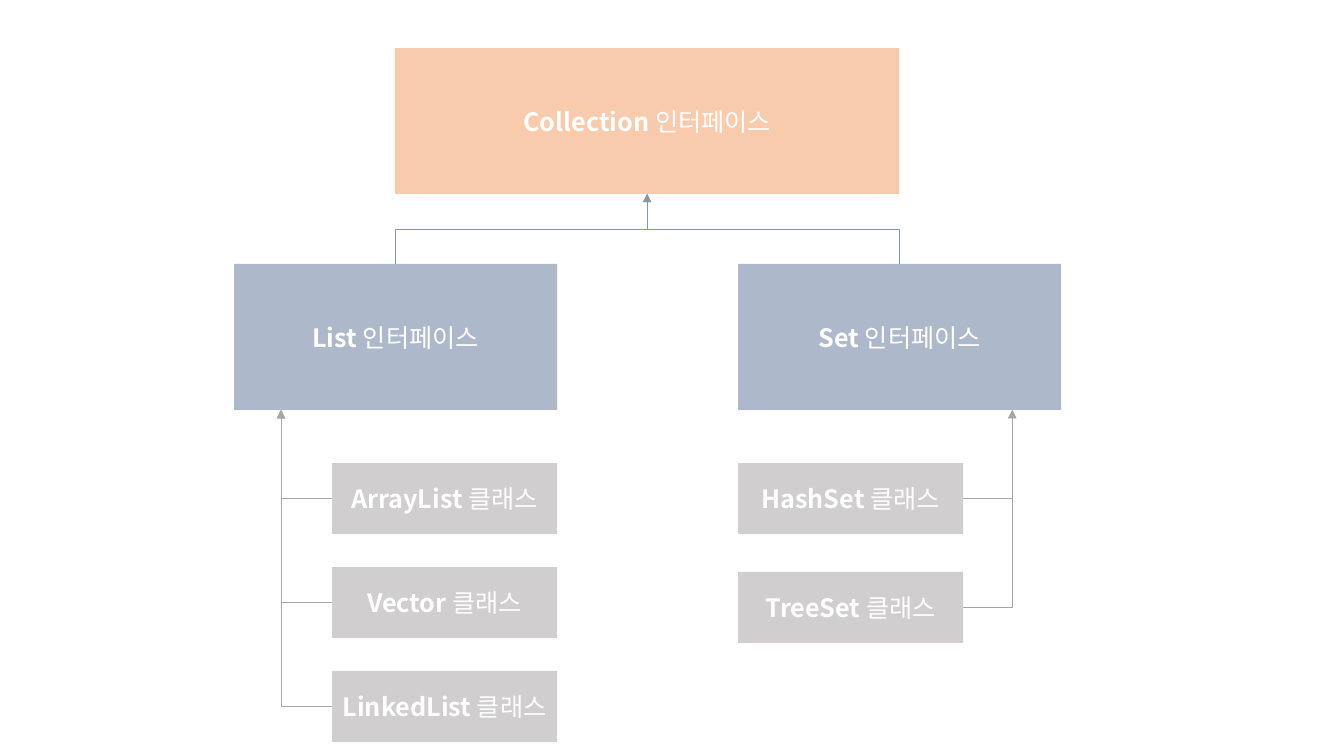
"""Build the Collection interface hierarchy slide."""
from pptx import Presentation
from pptx import util as u
from pptx.dml import color
from pptx.enum import shapes, text
from pptx.oxml import ns
from lxml import etree

EMU_PER_PIXEL = 914400 / 100.8
FONT = "Noto Sans CJK KR"
COLOURS = {
    "collection": "F8CBAD",
    "interface": "ADB9CA",
    "class": "D0CECE",
    "text": "FFFFFF",
    "interface line": "8497B0",
    "class line": "A6A6A6",
}
COLLECTION_TOP, INTERFACE_TOP, BOX_HEIGHT = 48, 264, 146
CLASS_TOP, CLASS_WIDTH, CLASS_HEIGHT = 463, 225, 71


def px(pixels):
    """Turn pixels into EMU."""
    return u.Emu(round(pixels * EMU_PER_PIXEL))


def rgb(name):
    """Return the named colour."""
    return color.RGBColor.from_string(COLOURS[name])


def add_run(paragraph, words, bold):
    """Add one formatted run, with the font for Latin and Korean."""
    run = paragraph.add_run()
    run.text = words
    run.font.size = u.Pt(18)
    run.font.bold = bold
    run.font.name = FONT
    run.font.color.rgb = rgb("text")
    east_asian = etree.SubElement(run.font._element, ns.qn("a:ea"))
    east_asian.set("typeface", FONT)


def add_box(slide, left, top, width, height, colour, name, kind):
    """Add a filled box with a bold name and its kind."""
    shape = slide.shapes.add_shape(
        shapes.MSO_SHAPE.RECTANGLE, px(left), px(top), px(width), px(height))
    shape.shadow.inherit = False
    shape.fill.solid()
    shape.fill.fore_color.rgb = rgb(colour)
    shape.line.fill.background()
    frame = shape.text_frame
    frame.word_wrap = True
    frame.vertical_anchor = text.MSO_ANCHOR.MIDDLE
    paragraph = frame.paragraphs[0]
    paragraph.alignment = text.PP_ALIGN.CENTER
    add_run(paragraph, f"{name} ", True)
    add_run(paragraph, kind, False)


def add_elbow(slide, start, end, preset, colour, rotation, flips):
    """Add a bent arrow whose frame is turned and flipped between two points."""
    width, height = abs(end[0] - start[0]), abs(end[1] - start[1])
    if rotation in (90, 270):
        width, height = height, width
    left = (start[0] + end[0] - width) / 2
    top = (start[1] + end[1] - height) / 2
    connector = slide.shapes.add_connector(
        shapes.MSO_CONNECTOR.ELBOW,
        px(left), px(top), px(left + width), px(top + height))
    connector.line.width = u.Pt(0.5)
    connector.line.color.rgb = rgb(colour)
    properties = connector._element.spPr
    properties.find(ns.qn("a:prstGeom")).set("prst", preset)
    transform = properties.find(ns.qn("a:xfrm"))
    transform.set("rot", str(rotation * 60000))
    for flip in flips:
        transform.set(flip, "1")
    outline = properties.find(ns.qn("a:ln"))
    etree.SubElement(outline, ns.qn("a:tailEnd")).set("type", "triangle")
    etree.SubElement(properties, ns.qn("a:effectLst"))


def add_classes(slide, names, left, pitch, start_x, trunk_x, rotation, flips):
    """Add a column of classes, each with an arrow up to its interface."""
    for index, name in enumerate(names):
        top = CLASS_TOP + index * pitch
        add_box(slide, left, top, CLASS_WIDTH, CLASS_HEIGHT, "class", name, "클래스")
        add_elbow(slide, (start_x, top + CLASS_HEIGHT / 2),
                  (trunk_x, INTERFACE_TOP + BOX_HEIGHT),
                  "bentConnector2", "class line", rotation, flips)


def main():
    """Create and save the presentation."""
    presentation = Presentation()
    presentation.slide_width = u.Inches(13.33)
    presentation.slide_height = u.Inches(7.5)
    slide = presentation.slides.add_slide(presentation.slide_layouts[6])

    add_box(slide, 395, COLLECTION_TOP, 504, BOX_HEIGHT,
            "collection", "Collection", "인터페이스")
    for name, left, centre, rotation, flips in (
            ("List", 234, 395, 90, ("flipH", "flipV")),
            ("Set", 738, 899, 270, ("flipV",))):
        add_box(slide, left, INTERFACE_TOP, 323, BOX_HEIGHT,
                "interface", name, "인터페이스")
        add_elbow(slide, (centre, INTERFACE_TOP), (647, COLLECTION_TOP + BOX_HEIGHT),
                  "bentConnector3", "interface line", rotation, flips)

    add_classes(slide, ("ArrayList", "Vector", "LinkedList"),
                332, 104, 332, 281, 180, ())
    add_classes(slide, ("HashSet", "TreeSet"),
                738, 109, 738 + CLASS_WIDTH, 1012, 0, ("flipV",))
    presentation.save("out.pptx")


main()
